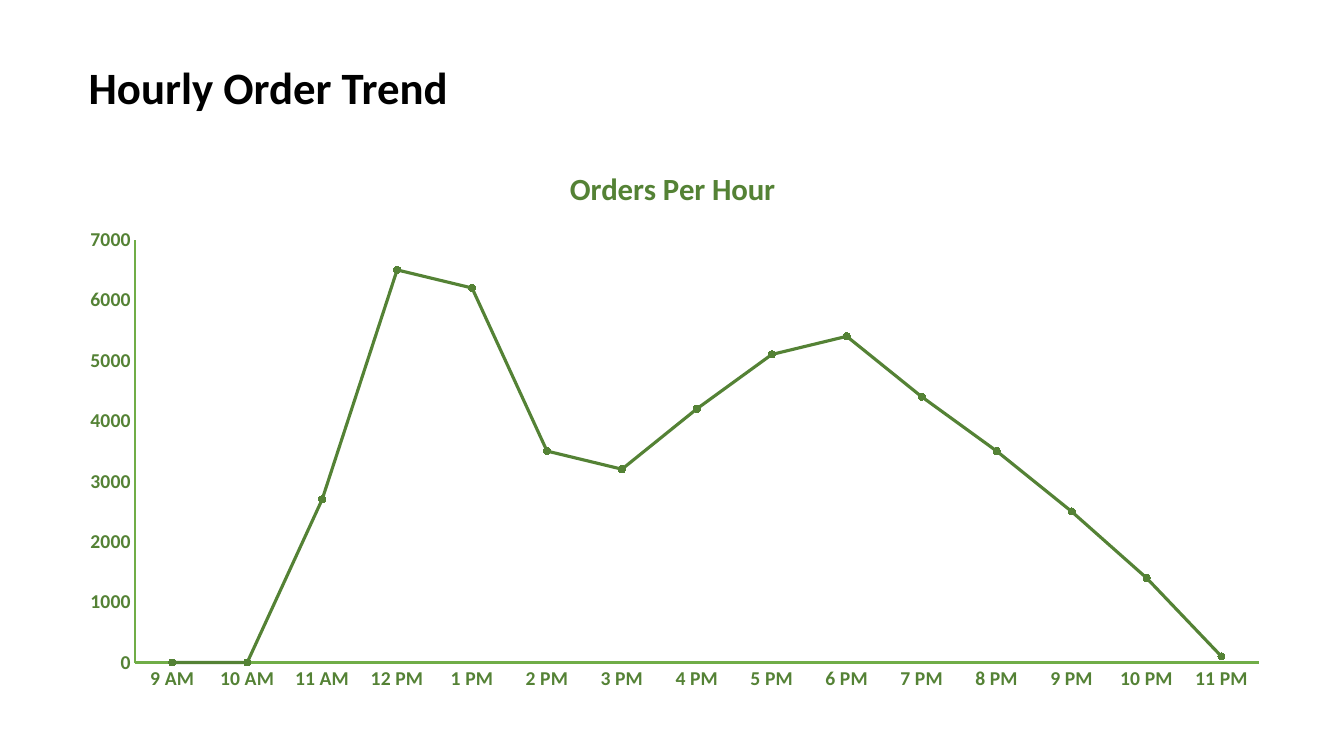
"""Build a slide with a line chart of orders per hour."""
from lxml import etree
from pptx import Presentation
from pptx.chart.data import CategoryChartData
from pptx.dml.color import RGBColor
from pptx.enum.chart import XL_CHART_TYPE, XL_MARKER_STYLE, XL_TICK_MARK
from pptx.enum.text import MSO_ANCHOR, PP_ALIGN
from pptx.oxml.ns import qn
from pptx.util import Inches, Pt

LINE_CHART = XL_CHART_TYPE.LINE_MARKERS_STACKED
CIRCLE = XL_MARKER_STYLE.CIRCLE
NO_TICK = XL_TICK_MARK.NONE
MIDDLE = MSO_ANCHOR.MIDDLE
LEFT = PP_ALIGN.LEFT

FONT = "Calibri"
COLORS = {"black": "000000", "dark_green": "548235", "green": "70AD47"}
HOURS = ["9 AM", "10 AM", "11 AM", "12 PM"] + [f"{h} PM" for h in range(1, 12)]
ORDERS = [0, 0, 2700, 6500, 6200, 3500, 3200, 4200,
          5100, 5400, 4400, 3500, 2500, 1400, 100]
PLOT_AREA = {"x": 0.06, "y": 0.17, "w": 0.92, "h": 0.76}


def rgb(name):
    return RGBColor.from_string(COLORS[name])


def set_font(font, size, color, bold=True):
    font.name = FONT
    font.size = Pt(size)
    font.bold = bold
    font.color.rgb = rgb(color)


def set_line(line, color, width):
    line.color.rgb = rgb(color)
    line.width = Pt(width)


def add_title(s, text):
    title = s.shapes.title
    title.left, title.top = Inches(0.78), Inches(0.54)
    title.width, title.height = Inches(6.67), Inches(0.64)
    tf = title.text_frame
    tf.text = text
    tf.vertical_anchor = MIDDLE
    p = tf.paragraphs[0]
    p.alignment = LEFT
    set_font(p.font, 32, "black")


def format_axis(axis):
    axis.has_major_gridlines = False
    axis.major_tick_mark = NO_TICK
    axis.minor_tick_mark = NO_TICK
    set_font(axis.tick_labels.font, 14, "dark_green")
    set_line(axis.format.line, "green", 1.5)


def place_plot(chart):
    plot_area = chart.element.find(".//" + qn("c:plotArea"))
    for old in plot_area.findall(qn("c:layout")):
        plot_area.remove(old)
    layout = etree.Element(qn("c:layout"))
    manual = etree.SubElement(layout, qn("c:manualLayout"))
    settings = {"layoutTarget": "inner", "xMode": "edge", "yMode": "edge"}
    for tag, value in {**settings, **PLOT_AREA}.items():
        etree.SubElement(manual, qn(f"c:{tag}")).set("val", str(value))
    plot_area.insert(0, layout)


def format_series(series):
    series.smooth = False
    set_line(series.format.line, "dark_green", 2.25)
    marker = series.marker
    marker.style = CIRCLE
    marker.size = 5
    marker.format.fill.solid()
    marker.format.fill.fore_color.rgb = rgb("dark_green")
    set_line(marker.format.line, "dark_green", 0.75)


def add_orders_chart(s):
    data = CategoryChartData()
    data.categories = HOURS
    data.add_series("Series 1", ORDERS)
    frame = s.shapes.add_chart(LINE_CHART, Inches(0.61), Inches(1.44),
                               Inches(12.12), Inches(5.52), data)
    chart = frame.chart
    set_font(chart.font, 10, "black", bold=False)
    chart.has_legend = False
    chart.has_title = True
    tf = chart.chart_title.text_frame
    tf.text = "Orders Per Hour"
    set_font(tf.paragraphs[0].font, 22, "dark_green")
    chart.chart_title.include_in_layout = False
    format_axis(chart.category_axis)
    format_axis(chart.value_axis)
    chart.value_axis.minimum_scale = 0
    chart.value_axis.maximum_scale = 7000
    chart.value_axis.major_unit = 1000
    chart.plots[0].vary_by_categories = False
    format_series(chart.plots[0].series[0])
    place_plot(chart)


def main():
    prs = Presentation()
    prs.slide_width, prs.slide_height = Inches(13.33), Inches(7.5)
    s = prs.slides.add_slide(prs.slide_layouts[5])
    add_title(s, "Hourly Order Trend")
    add_orders_chart(s)
    prs.save("out.pptx")


if __name__ == "__main__":
    main()
